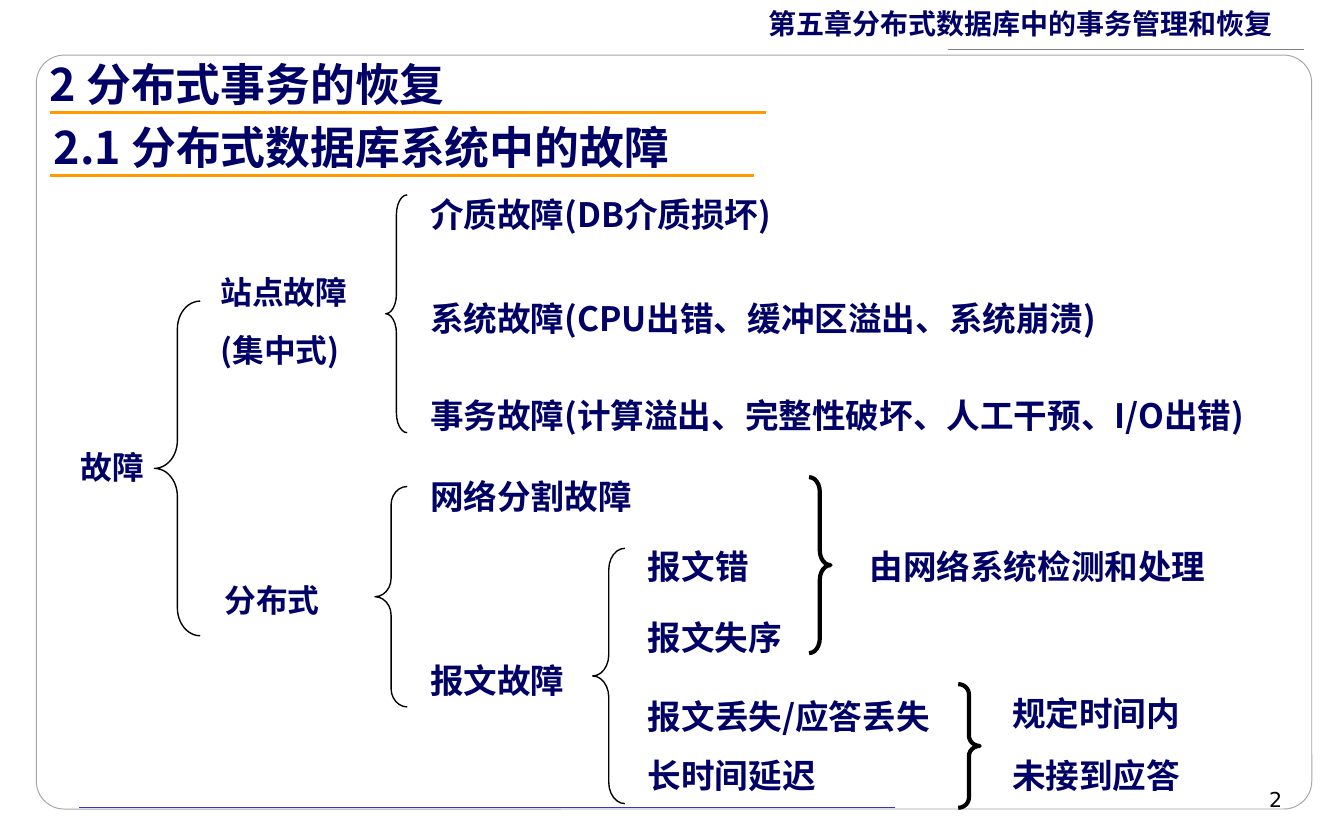
import collections

import lxml.etree
import pptx
import pptx.dml.color
import pptx.enum.shapes
import pptx.enum.text
import pptx.oxml.ns
import pptx.util

RGB = pptx.dml.color.RGBColor
NAVY = RGB(0x00, 0x00, 0x66)
BLACK = RGB(0x00, 0x00, 0x00)
WHITE = RGB(0xFF, 0xFF, 0xFF)
ORANGE = RGB(0xFF, 0x99, 0x00)
BLUE = RGB(0x33, 0x33, 0xCC)
FRAME_GREY = RGB(0xA5, 0xA5, 0xA5)
RULE_GREY = RGB(0x7F, 0x7F, 0x7F)

CJK = "Noto Sans CJK SC"
SHAPES = pptx.enum.shapes.MSO_SHAPE
ALIGN = pptx.enum.text.PP_ALIGN

# The slide is a grid of 100 columns by 62.5 rows, each cell 0.1 inch
COLUMNS, ROWS = 100, 62.5
Box = collections.namedtuple("Box", "left top width height")


def cells(count):
    return pptx.util.Inches(count / 10)


def inside(box, left, top, width, height):
    return Box(box.left + left, box.top + top, width, height)


def add_text(slide, box, lines, size, color=NAVY, font=CJK, bold=True,
             align=ALIGN.LEFT, before=0, spacing=None):
    frame = slide.shapes.add_textbox(*map(cells, box)).text_frame
    frame.word_wrap = True
    frame.margin_left = frame.margin_right = pptx.util.Inches(0.09)
    frame.margin_top = frame.margin_bottom = pptx.util.Inches(0.05)
    frame.text = "\n".join(lines)
    for index, paragraph in enumerate(frame.paragraphs):
        paragraph.alignment = align
        if spacing:
            paragraph.line_spacing = spacing
        if index and before:
            paragraph.space_before = pptx.util.Pt(before)
        paragraph.font.size = pptx.util.Pt(size)
        paragraph.font.bold = bold
        paragraph.font.color.rgb = color
        paragraph.font.name = font
        east_asian = lxml.etree.SubElement(
            paragraph.font._element, pptx.oxml.ns.qn("a:ea"))
        east_asian.set("typeface", font)


def add_rule(slide, left, right, row, color, weight):
    rule = slide.shapes.add_connector(
        pptx.enum.shapes.MSO_CONNECTOR.STRAIGHT,
        cells(left), cells(row), cells(right), cells(row))
    rule.line.color.rgb = color
    rule.line.width = pptx.util.Pt(weight)
    lxml.etree.SubElement(rule._element.spPr, pptx.oxml.ns.qn("a:effectLst"))


def add_brace(slide, box, kind=SHAPES.LEFT_BRACE, weight=0.75):
    brace = slide.shapes.add_shape(kind, *map(cells, box))
    # Each curve takes a twelfth of the brace's height
    brace.adjustments[0] = box.height / 12 / box.width
    brace.shadow.inherit = False
    brace.fill.background()
    brace.line.color.rgb = BLACK
    brace.line.width = pptx.util.Pt(weight)


def draw_frame(slide, box):
    panel = slide.shapes.add_shape(
        SHAPES.ROUNDED_RECTANGLE, *map(cells, box))
    panel.adjustments[0] = 0.037
    panel.shadow.inherit = False
    panel.fill.solid()
    panel.fill.fore_color.rgb = WHITE
    panel.line.color.rgb = FRAME_GREY
    panel.line.width = pptx.util.Pt(0.5)
    bottom = box.top + box.height - 0.1
    add_rule(slide, box.left + 3.2, box.left + 63.9, bottom, BLUE, 0.25)
    # Page number
    add_text(slide, inside(box, 68.6, 54, 25, 2.8), ["2"], 11, BLACK,
             "DejaVu Sans", bold=False, align=ALIGN.RIGHT)


def draw_chapter(slide, box):
    add_text(slide, box, ["第五章分布式数据库中的事务管理和恢复"], 15, spacing=0.9)
    add_rule(slide, box.left + 14.2, box.left + 40.7, box.top + 3.4,
             RULE_GREY, 0.75)


def draw_headings(slide, box):
    headings = [("2  分布式事务的恢复", 0, 0, 54.2),
                ("2.1  分布式数据库系统中的故障", 0.3, 4.7, 53.3)]
    for heading, left, top, rule_end in headings:
        # The two spaces in the numbering match the single visible gap
        add_text(slide, inside(box, left, top, box.width, 5),
                 [heading.replace("  ", " ")], 24)
        add_rule(slide, box.left + 0.9, box.left + rule_end,
                 box.top + top + 4.65, ORANGE, 1.5)


def draw_fault_tree(slide, box):
    # Root and its two branches
    branches = [(["故障"], 0, 18.9, 10.2),
                (["站点故障", "(集中式)"], 10.4, 5.9, 14),
                (["分布式"], 10.7, 28.8, 13)]
    for lines, left, top, width in branches:
        add_text(slide, inside(box, left, top, width, 3.8 * len(lines)),
                 lines, 17, before=10.6)

    # Faults, message faults and how each group is detected
    fault, message = 26, 42.2
    leaves = [(["介质故障(DB介质损坏)"], fault, 0, 31.5),
              (["系统故障(CPU出错、缓冲区溢出、系统崩溃)"], fault, 7.8, 55),
              (["事务故障(计算溢出、完整性破坏、人工干预、I/O出错)"], fault, 15, 64.6),
              (["网络分割故障"], fault, 21, 25.2),
              (["报文故障"], fault, 34.7, 14.2),
              (["报文错"], message, 26.2, 14.9),
              (["报文失序"], message, 31.5, 15.4),
              (["报文丢失/应答丢失"], message, 37.4, 25.2),
              (["长时间延迟"], message, 41.8, 22.4),
              (["由网络系统检测和处理"], 58.7, 26.2, 28),
              (["规定时间内", "未接到应答"], 69.3, 37.2, 16.8)]
    for lines, left, top, width in leaves:
        add_text(slide, inside(box, left, top, width, 3.9 * len(lines)),
                 lines, 18, before=11.2)

    # Braces that open a group
    for place in [(6.4, 8.5, 3.4, 24.9), (23.6, 0.6, 1.6, 17.7),
                  (22.8, 22.3, 2.4, 16.4), (39, 26.9, 2.4, 19)]:
        add_brace(slide, inside(box, *place))
    # Braces that gather a group
    for place in [(55.1, 21.6, 1.6, 13.1), (66.2, 37, 1.6, 9.2)]:
        add_brace(slide, inside(box, *place), SHAPES.RIGHT_BRACE, 2.25)


def main():
    deck = pptx.Presentation()
    deck.slide_width, deck.slide_height = cells(COLUMNS), cells(ROWS)
    slide = deck.slides.add_slide(deck.slide_layouts[6])
    draw_frame(slide, Box(2.7, 4.1, 94.9, 56.1))
    draw_chapter(slide, Box(56.3, 0.3, 43.7, 3.2))
    draw_headings(slide, Box(2.8, 3.7, 58.4, 9.7))
    draw_fault_tree(slide, Box(5.1, 13.9, 90, 46.2))
    deck.save("out.pptx")


if __name__ == "__main__":
    main()
